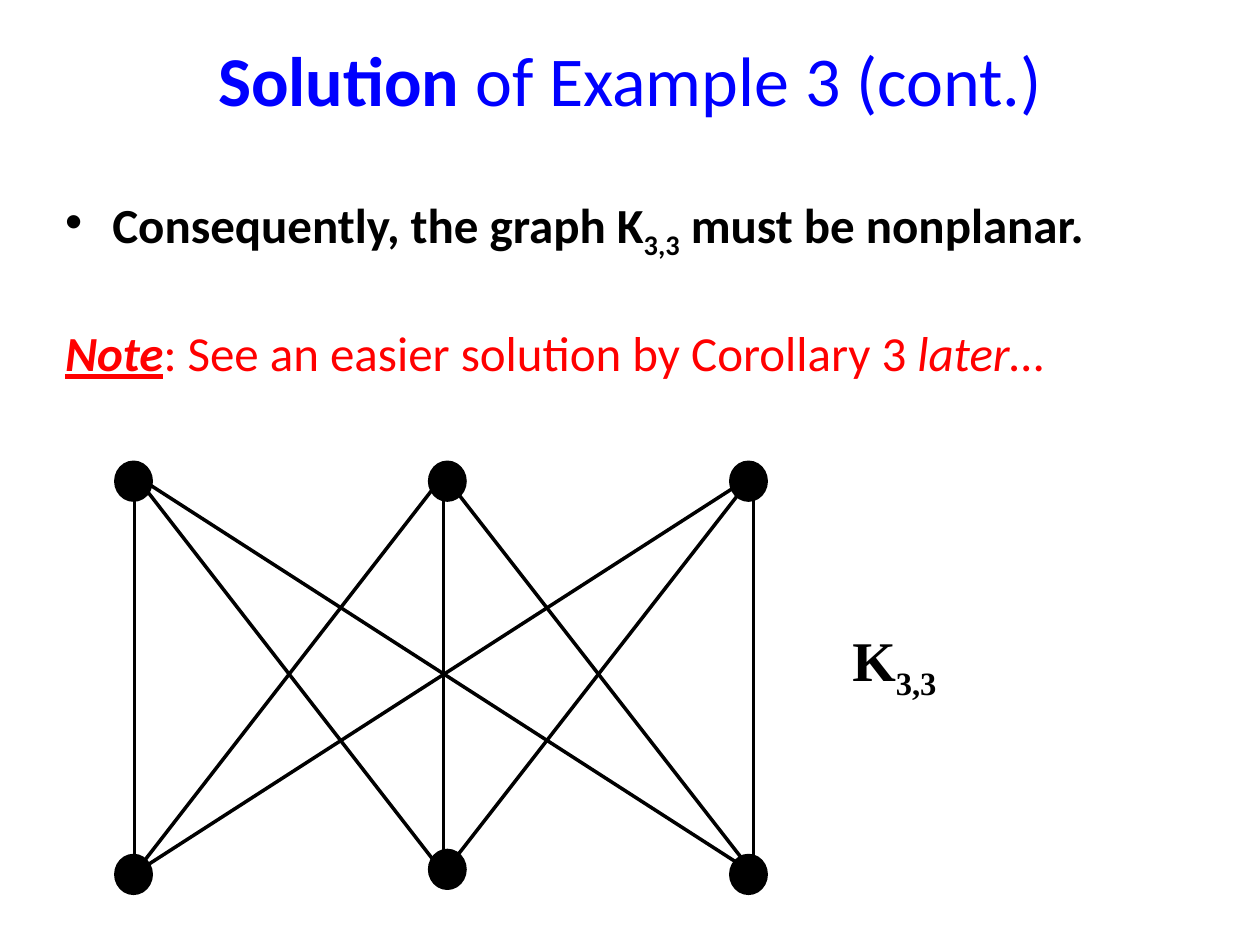
from itertools import product

from pptx import Presentation
from pptx.dml.color import RGBColor
from pptx.enum.shapes import MSO_CONNECTOR as Connector, MSO_SHAPE as Shape
from pptx.enum.text import MSO_ANCHOR as Anchor, MSO_AUTO_SIZE as AutoSize, PP_ALIGN as Align
from pptx.oxml.ns import qn
from pptx.util import Pt
from lxml.etree import SubElement

BLACK = RGBColor(0, 0, 0)
BLUE = RGBColor(0, 0, 255)
RED = RGBColor(255, 0, 0)

EDGE_X = (77, 253.5, 430.5)
EDGE_TOP, EDGE_BOTTOM = 271.5, 499
VERTEX_X = (66.2, 245.5, 417.6)
VERTEX_TOPS = (264.2, 264.2, 264.2)
VERTEX_BOTTOMS = (488.9, 486, 488.9)
VERTEX_SIZE = (20.2, 21.6)


def place(part, left, top, width, height):
    part.left, part.top = Pt(left), Pt(top)
    part.width, part.height = Pt(width), Pt(height)


def add_run(paragraph, text, size, color, font="Calibri", bold=False,
            italic=False, underline=False, subscript=False):
    run = paragraph.add_run()
    run.text = text
    run.font.name, run.font.size = font, Pt(size)
    run.font.bold, run.font.italic = bold, italic
    run.font.underline = underline
    run.font.color.rgb = color
    if subscript:
        run.font._element.set("baseline", "-25000")


def fill_title(title):
    place(title, 36, 12, 648, 66)
    title.text_frame.vertical_anchor = Anchor.MIDDLE
    title.text_frame.auto_size = AutoSize.NONE
    heading = title.text_frame.paragraphs[0]
    heading.alignment = Align.CENTER
    add_run(heading, "Solution", 40, BLUE, bold=True)
    add_run(heading, " of Example 3 (cont.)", 40, BLUE)


def format_item(paragraph, space_before, bullet):
    paragraph.line_spacing = 0.9
    paragraph.space_before = Pt(space_before)
    properties = paragraph._p.get_or_add_pPr()
    properties.set("marL", str(Pt(27)))
    properties.set("indent", str(Pt(-27)))
    if bullet:
        SubElement(properties, qn("a:buChar")).set("char", bullet)
    else:
        SubElement(properties, qn("a:buNone"))


def fill_body(body):
    place(body, 30, 108, 660, 114)
    body.text_frame.auto_size = AutoSize.NONE
    conclusion = body.text_frame.paragraphs[0]
    format_item(conclusion, 5.6, "•")
    add_run(conclusion, "Consequently, the graph K", 28, BLACK, bold=True)
    add_run(conclusion, "3,3", 28, BLACK, bold=True, subscript=True)
    add_run(conclusion, " must be nonplanar.", 28, BLACK, bold=True)

    note = body.text_frame.add_paragraph()
    format_item(note, 42, None)
    add_run(note, "Note", 28, RED, bold=True, italic=True, underline=True)
    add_run(note, ": See an easier solution by Corollary 3 ", 28, RED)
    add_run(note, "later", 28, RED, italic=True)
    add_run(note, "…", 28, RED)


def add_edge(graph, x1, y1, x2, y2):
    edge = graph.shapes.add_connector(Connector.STRAIGHT, Pt(x1), Pt(y1), Pt(x2), Pt(y2))
    edge.line.color.rgb = BLACK
    edge.line.width = Pt(2)
    SubElement(edge._element.spPr, qn("a:effectLst"))


def add_vertex(graph, left, top):
    width, height = VERTEX_SIZE
    vertex = graph.shapes.add_shape(Shape.OVAL, Pt(left), Pt(top), Pt(width), Pt(height))
    vertex.shadow.inherit = False
    vertex.fill.solid()
    vertex.fill.fore_color.rgb = BLACK
    vertex.line.color.rgb = BLACK
    vertex.line.width = Pt(2)


def add_graph(slide):
    graph = slide.shapes.add_group_shape()
    for upper_x, lower_x in product(EDGE_X, repeat=2):
        add_edge(graph, upper_x, EDGE_TOP, lower_x, EDGE_BOTTOM)
    for tops in (VERTEX_TOPS, VERTEX_BOTTOMS):
        for left, top in zip(VERTEX_X, tops):
            add_vertex(graph, left, top)


def add_graph_label(slide):
    label = slide.shapes.add_textbox(Pt(480), Pt(354.2), Pt(78), Pt(45.4))
    label.text_frame.word_wrap = True
    label.text_frame.auto_size = AutoSize.SHAPE_TO_FIT_TEXT
    name = label.text_frame.paragraphs[0]
    name.space_before = Pt(3)
    add_run(name, "K", 32, BLACK, "Times New Roman", bold=True)
    add_run(name, "3,3", 32, BLACK, "Times New Roman", bold=True, subscript=True)


def main():
    deck = Presentation()
    deck.slide_width, deck.slide_height = Pt(720), Pt(540)
    slide = deck.slides.add_slide(deck.slide_layouts[1])
    fill_title(slide.shapes.title)
    fill_body(slide.placeholders[1])
    add_graph_label(slide)
    add_graph(slide)
    deck.save("out.pptx")


if __name__ == "__main__":
    main()
